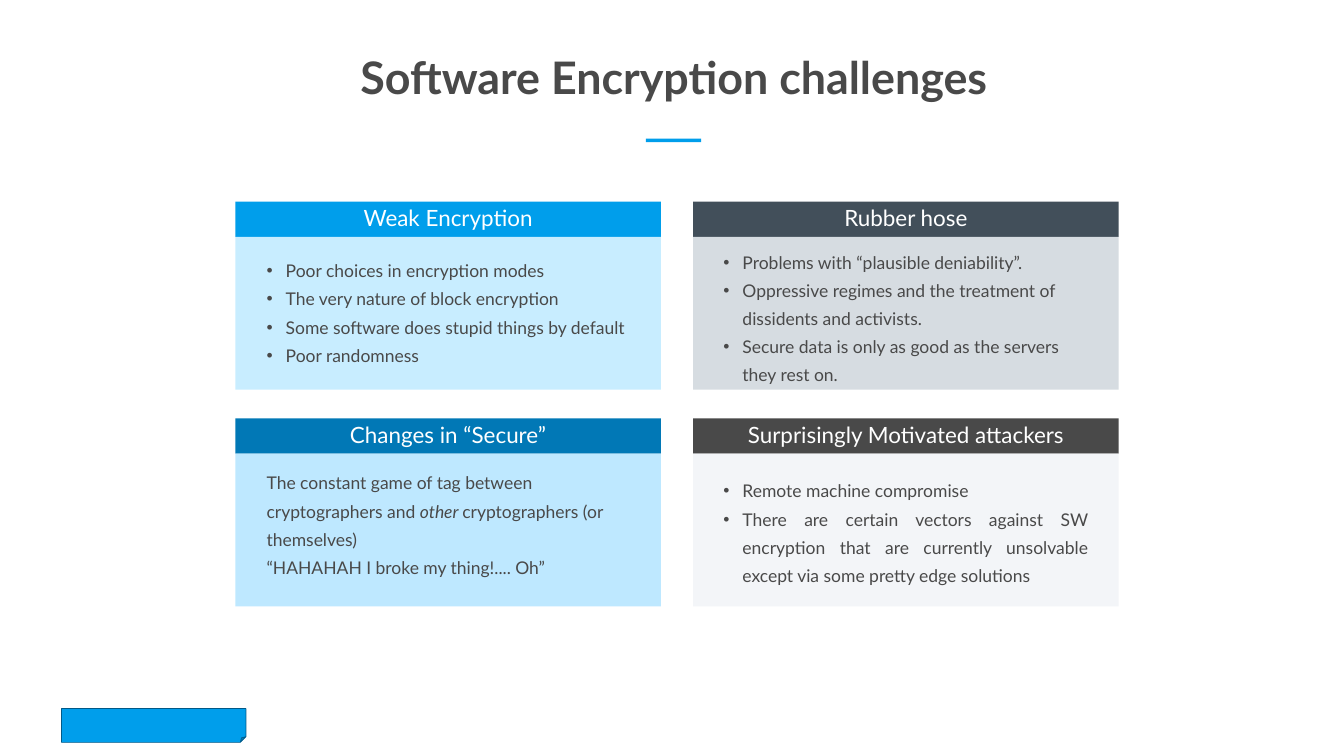
"""Build the slide on software encryption challenges."""
from dataclasses import dataclass
from typing import Any

from lxml.etree import SubElement as Sub
from pptx import Presentation
from pptx.dml.color import RGBColor
from pptx.enum.shapes import MSO_SHAPE as Shape
from pptx.enum.text import MSO_ANCHOR as Anchor, MSO_AUTO_SIZE as Auto, PP_ALIGN as Align
from pptx.oxml.ns import qn
from pptx.util import Emu, Pt

SCALE = 9144
BLUE, GREY, WHITE = "009EEB", "494949", "FFFFFF"


def px(size):
    return Emu(size * SCALE)


def tint(code):
    return RGBColor.from_string(code)


@dataclass
class Deck:
    slide: Any
    face: str = "Lato"
    ink: str = GREY
    wide: int = 844
    head: int = 70
    body: int = 303

    def font(self, para, size, ink, bold=False):
        font = para.font
        font.name, font.size, font.bold = self.face, Pt(size), bold
        font.color.rgb = tint(ink)

    def block(self, box, fill, kind=Shape.RECTANGLE, edge=None):
        shape = self.slide.shapes.add_shape(kind, *map(px, box))
        shape.shadow.inherit = False
        shape.fill.solid()
        shape.fill.fore_color.rgb = tint(fill)
        if edge:
            shape.line.color.rgb = tint(edge)
            shape.line.width = Pt(1)
        else:
            shape.line.fill.background()
        return shape

    def inset(self, frame, size):
        frame.margin_left = frame.margin_right = px(size)
        frame.margin_top = frame.margin_bottom = px(size)
        frame.vertical_anchor = Anchor.MIDDLE

    def title(self, box, text):
        frame = self.slide.shapes.add_textbox(*map(px, box)).text_frame
        self.inset(frame, 0)
        frame.word_wrap = False
        frame.auto_size = Auto.SHAPE_TO_FIT_TEXT
        para = frame.paragraphs[0]
        para.text, para.alignment = text, Align.CENTER
        self.font(para, 64, self.ink, True)

    def card(self, left, top, text, dark, light):
        frame = self.block((left, top, self.wide, self.head), dark).text_frame
        self.inset(frame, 11)
        para = frame.paragraphs[0]
        para.text, para.alignment, para.line_spacing = text, Align.CENTER, 0.9
        self.font(para, 32, WHITE)
        self.block((left, top + self.head, self.wide, self.body), light)

    def bullet(self, para):
        props = para._p.get_or_add_pPr()
        props.set("marL", str(px(38)))
        props.set("indent", str(px(-38)))
        Sub(props, qn("a:buFont"), typeface="Arial")
        Sub(props, qn("a:buChar"), char="•")

    def notes(self, box, lines, dots=True, align=Align.LEFT):
        frame = self.slide.shapes.add_textbox(*map(px, box)).text_frame
        frame.word_wrap = True
        frame.auto_size = Auto.SHAPE_TO_FIT_TEXT
        for spot, parts in enumerate(lines):
            para = frame.add_paragraph() if spot else frame.paragraphs[0]
            if dots:
                self.bullet(para)
            para.alignment, para.line_spacing = align, Pt(40.3)
            self.font(para, 25, self.ink)
            for turn, part in enumerate(parts):
                run = para.add_run()
                run.text = part
                if turn % 2:
                    run.font.italic = True


def main():
    show = Presentation()
    show.slide_width, show.slide_height = px(2666), px(1500)
    deck = Deck(show.slides.add_slide(show.slide_layouts[6]))

    deck.block((122, 1406, 366, 67), BLUE, Shape.FOLDED_CORNER, "015987")
    deck.title((695, 97, 1283, 108), "Software Encryption challenges")
    deck.block((1281, 275, 110, 7), BLUE)

    cards = [
        ("Weak Encryption", BLUE, "C8EDFF"),
        ("Rubber hose", "424F5A", "D6DCE1"),
        ("Changes in “Secure”", "0178B6", "BEE8FF"),
        ("Surprisingly Motivated attackers", GREY, "F3F5F8"),
    ]
    for spot, card in enumerate(cards):
        row, col = divmod(spot, 2)
        deck.card(467 + 908 * col, 400 + 430 * row, *card)

    deck.notes((519, 497, 743, 234), [
        ["Poor choices in encryption modes"],
        ["The very nature of block encryption"],
        ["Some software does stupid things by default"],
        ["Poor randomness"],
    ])
    deck.notes((1425, 480, 743, 291), [
        ["Problems with “plausible deniability”."],
        ["Oppressive regimes and the treatment of dissidents and activists."],
        ["Secure data is only as good as the servers they rest on."],
    ])
    deck.notes((519, 918, 743, 234), [
        ["The constant game of tag between cryptographers and ", "other ",
         "cryptographers (or themselves)"],
        ["“HAHAHAH I broke my thing!.... Oh”"],
    ], dots=False)
    deck.notes((1425, 934, 743, 228), [
        ["Remote machine compromise"],
        ["There are certain vectors against SW encryption that are currently "
         "unsolvable except via some pretty edge solutions"],
    ], align=Align.JUSTIFY)

    show.save("out.pptx")


if __name__ == "__main__":
    main()
